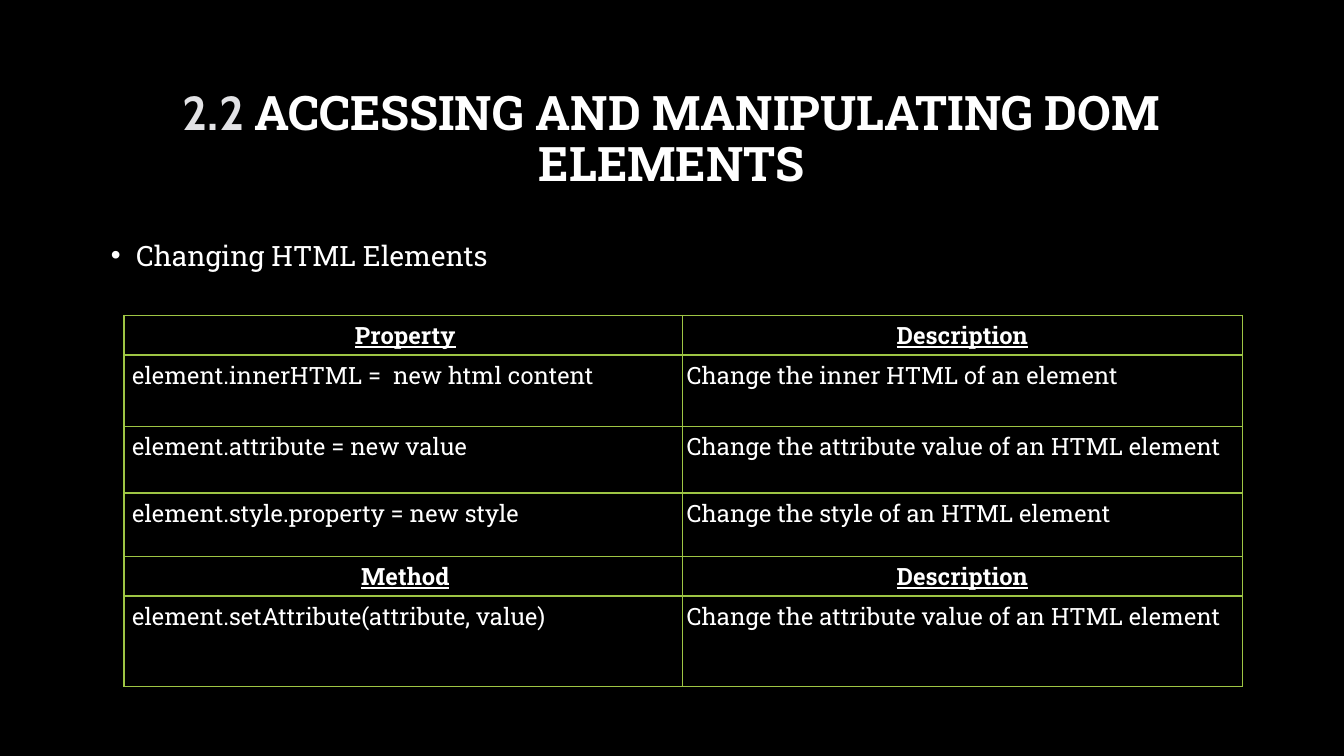
from lxml import etree
from pptx import Presentation
from pptx.dml.color import RGBColor
from pptx.enum import text
from pptx.oxml import ns
from pptx.util import Inches, Pt

BLACK = RGBColor(0x00, 0x00, 0x00)
WHITE = RGBColor(0xFF, 0xFF, 0xFF)
SILVER = RGBColor(0xE2, 0xE2, 0xE5)
GREEN = RGBColor(0x9E, 0xC5, 0x44)

COLUMN_WIDTHS = [5.54, 5.55]
ROW_HEIGHTS = [0.35, 0.71, 0.66, 0.63, 0.35, 0.9]
HEADER_ROWS = {0, 4}
ROWS = [
    ("Property", "Description"),
    ("element.innerHTML =  new html content", "Change the inner HTML of an element"),
    ("element.attribute = new value", "Change the attribute value of an HTML element"),
    ("element.style.property = new style", "Change the style of an HTML element"),
    ("Method", "Description"),
    ("element.setAttribute(attribute, value)", "Change the attribute value of an HTML element"),
]


def add_span(para, words, size, font="Roboto Slab", color=WHITE, bold=False, underline=False):
    span = para.add_run()
    span.text = words
    span.font.size = Pt(size)
    span.font.name = font
    span.font.color.rgb = color
    span.font.bold = bold
    span.font.underline = underline


def add_borders(cell, color, width):
    properties = cell._tc.get_or_add_tcPr()
    for side in ("a:lnL", "a:lnR", "a:lnT", "a:lnB"):
        line = etree.SubElement(properties, ns.qn(side), w=str(Pt(width)))
        fill = etree.SubElement(line, ns.qn("a:solidFill"))
        etree.SubElement(fill, ns.qn("a:srgbClr"), val=str(color))


deck = Presentation()
deck.slide_width = Inches(13.33)
deck.slide_height = Inches(7.5)
page = deck.slides.add_slide(deck.slide_layouts[1])
page.background.fill.solid()
page.background.fill.fore_color.rgb = BLACK

# Title
title = page.shapes.title
title.left, title.top, title.width, title.height = map(Inches, (1, 0.67, 11.32, 1.45))
title.text_frame.vertical_anchor = text.MSO_ANCHOR.MIDDLE
title.text_frame.auto_size = text.MSO_AUTO_SIZE.NONE
para = title.text_frame.paragraphs[0]
para.alignment = text.PP_ALIGN.CENTER
para.line_spacing = 0.9
add_span(para, "2.2 ", 34, font="Cabin", color=SILVER, bold=True)
add_span(para, "ACCESSING AND MANIPULATING DOM ELEMENTS", 34, bold=True)

# Bulleted heading
body = page.placeholders[1]
body.left, body.top, body.width, body.height = map(Inches, (1, 2.25, 11.32, 0.66))
body.text_frame.auto_size = text.MSO_AUTO_SIZE.NONE
para = body.text_frame.paragraphs[0]
para.line_spacing = 1.2
para.space_before = Pt(0)
indent = para._p.get_or_add_pPr()
indent.set("marL", str(Inches(0.25)))
indent.set("indent", str(Inches(-0.25)))
etree.SubElement(indent, ns.qn("a:buFont"), typeface="Arial")
etree.SubElement(indent, ns.qn("a:buChar"), char="•")
add_span(para, "Changing HTML Elements", 20)

# Table of properties and methods
table = page.shapes.add_table(
    len(ROWS), len(COLUMN_WIDTHS), Inches(1.23), Inches(3.13),
    Inches(sum(COLUMN_WIDTHS)), Inches(sum(ROW_HEIGHTS))).table
table.first_row = False
table.horz_banding = False
for column, width in zip(table.columns, COLUMN_WIDTHS):
    column.width = Inches(width)
for row, height in zip(table.rows, ROW_HEIGHTS):
    row.height = Inches(height)

for r, entries in enumerate(ROWS):
    header = r in HEADER_ROWS
    for c, words in enumerate(entries):
        cell = table.cell(r, c)
        cell.margin_left = Inches(0.04 if c else 0.08)
        cell.margin_right = cell.margin_top = cell.margin_bottom = Inches(0.04)
        add_borders(cell, GREEN, 1)
        cell.fill.background()
        para = cell.text_frame.paragraphs[0]
        para.alignment = text.PP_ALIGN.CENTER if header else text.PP_ALIGN.LEFT
        add_span(para, words, 17, bold=header, underline=header)

deck.save("out.pptx")
